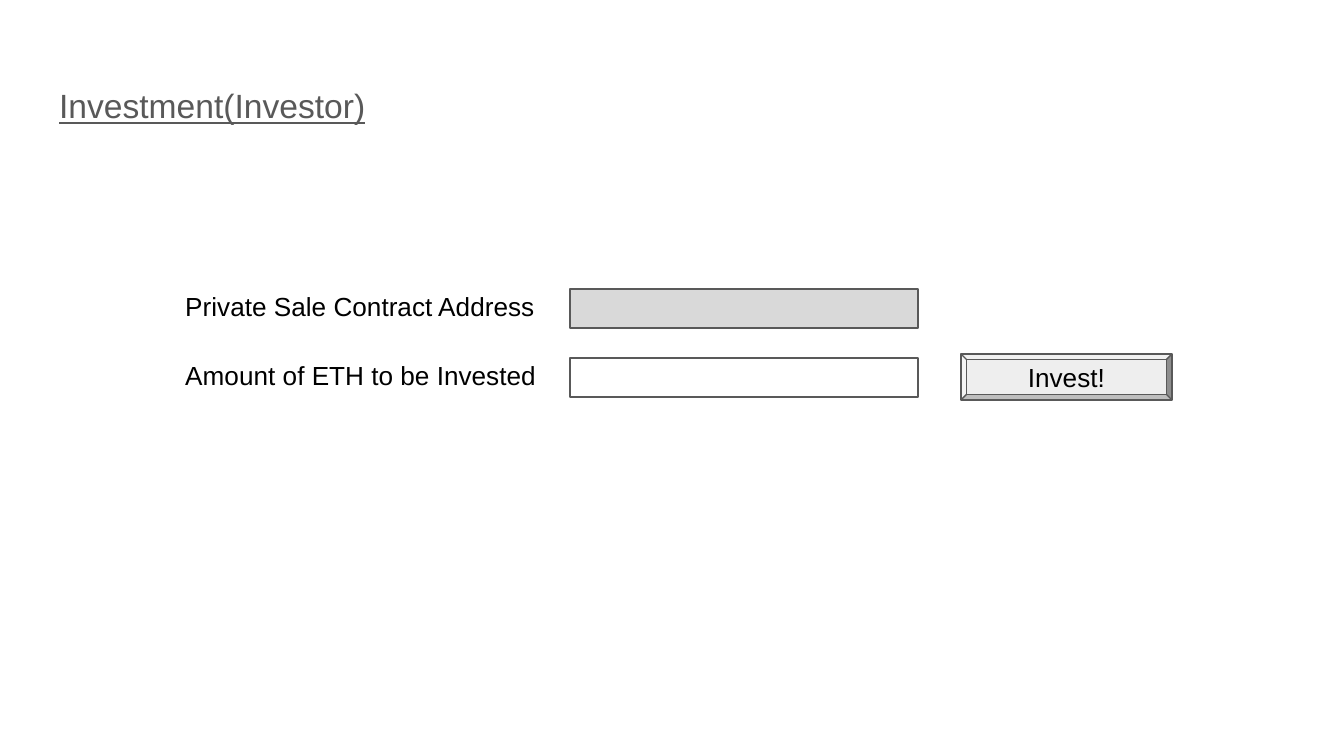
from pptx import Presentation
from pptx.dml.color import RGBColor
from pptx.enum.shapes import MSO_SHAPE
from pptx.enum.text import MSO_ANCHOR, PP_ALIGN
from pptx.util import Inches, Pt

RECTANGLE, BEVEL = MSO_SHAPE.RECTANGLE, MSO_SHAPE.BEVEL
TOP, MIDDLE = MSO_ANCHOR.TOP, MSO_ANCHOR.MIDDLE
LEFT, CENTER = PP_ALIGN.LEFT, PP_ALIGN.CENTER

BLACK = RGBColor(0x00, 0x00, 0x00)
DARK_GRAY = RGBColor(0x59, 0x59, 0x59)
FIELD_GRAY = RGBColor(0xD9, 0xD9, 0xD9)
BUTTON_GRAY = RGBColor(0xEE, 0xEE, 0xEE)

# Content
TITLE = "Investment(Investor)"
FIELDS = [  # label, fill of the input field
    ("Private Sale Contract Address", FIELD_GRAY),
    ("Amount of ETH to be Invested", None),
]
BUTTON = "Invest!"

# Layout in px: left, top, width, height
PAGE_SIZE = (1344, 756)
TITLE_BOX = (46, 66, 1253, 85)
LABEL_BOX = (172, 277, 411, 63)
INPUT_BOX = (570, 289, 348, 39)
BUTTON_BOX = (961, 354, 211, 46)
ROW_PITCH = 69
PX = 914400 / 134.4


def to_emu(lengths):
    return [round(length * PX) for length in lengths]


def place(box, row=0):
    left, top, width, height = box
    return to_emu((left, top + row * ROW_PITCH, width, height))


def write(shape, text, size=14, color=BLACK, align=LEFT, anchor=TOP):
    frame = shape.text_frame
    frame.word_wrap = True
    frame.vertical_anchor = anchor
    frame.margin_left = frame.margin_right = Inches(0.1)
    frame.margin_top = frame.margin_bottom = Inches(0.1)
    para = frame.paragraphs[0]
    para.text = text
    para.alignment = align
    para.font.name = "Arial"
    para.font.size = Pt(size)
    para.font.color.rgb = color
    return para


def add_control(page, kind, position, fill):
    shape = page.shapes.add_shape(kind, *position)
    shape.shadow.inherit = False
    if fill is None:
        shape.fill.background()
    else:
        shape.fill.solid()
        shape.fill.fore_color.rgb = fill
    shape.line.color.rgb = DARK_GRAY
    shape.line.width = Pt(0.75)
    return shape


deck = Presentation()
deck.slide_width, deck.slide_height = to_emu(PAGE_SIZE)
page = deck.slides.add_slide(deck.slide_layouts[6])

# Title
title = write(page.shapes.add_textbox(*place(TITLE_BOX)), TITLE, 18, DARK_GRAY)
title.font.underline = True
title.line_spacing = 1.15
title.space_after = Pt(16)

# Form rows
for row, (label, fill) in enumerate(FIELDS):
    write(page.shapes.add_textbox(*place(LABEL_BOX, row)), label)
    add_control(page, RECTANGLE, place(INPUT_BOX, row), fill)

# Button
button = add_control(page, BEVEL, place(BUTTON_BOX), BUTTON_GRAY)
button.adjustments[0] = 0.125
write(button, BUTTON, align=CENTER, anchor=MIDDLE)

deck.save("out.pptx")
